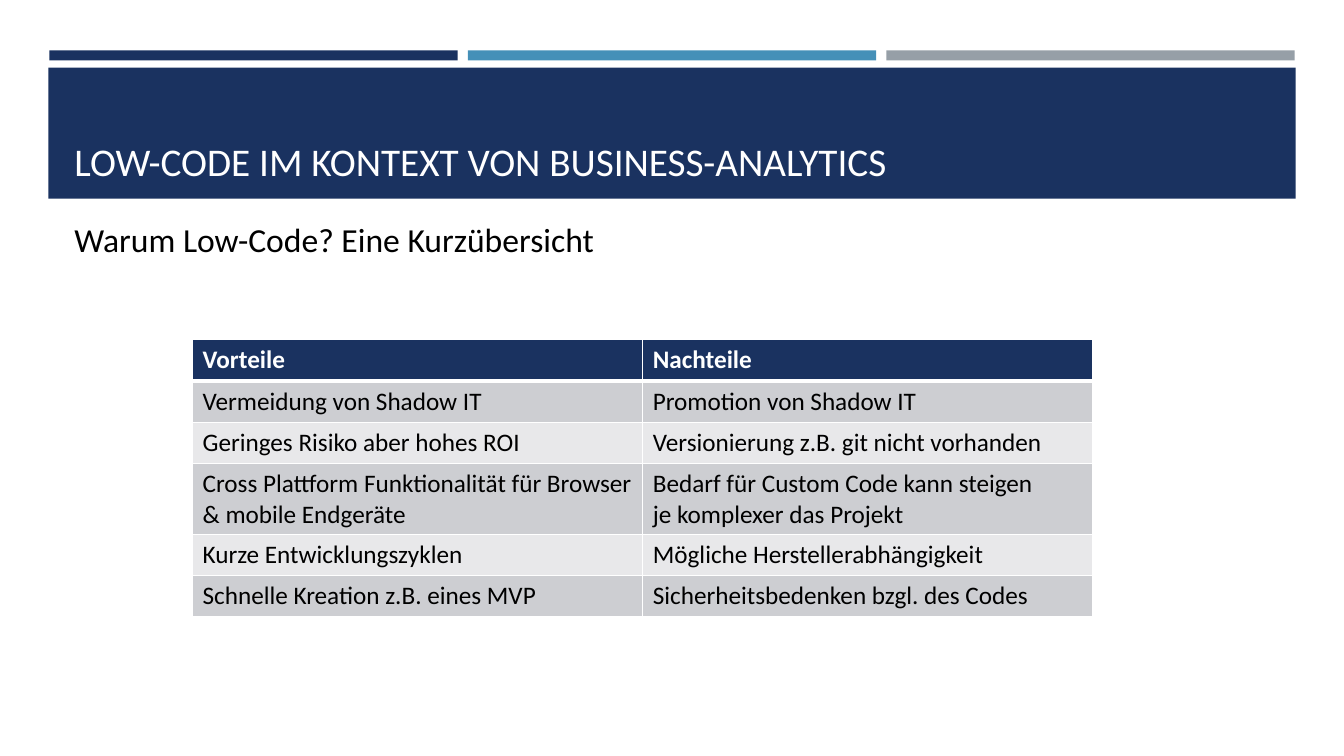
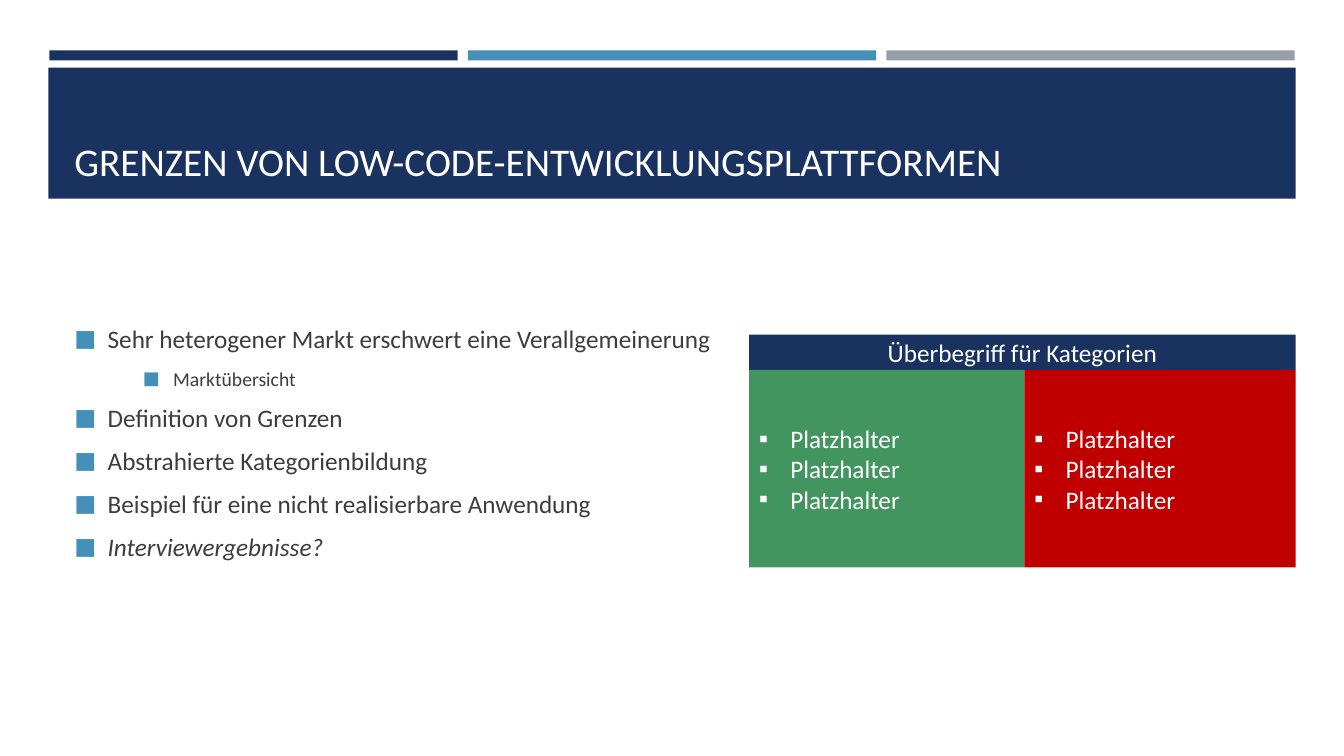
from lxml.etree import SubElement
from pptx import Presentation
from pptx.dml.color import RGBColor
from pptx.enum.shapes import MSO_SHAPE
from pptx.enum.text import MSO_ANCHOR, PP_ALIGN
from pptx.oxml.ns import qn
from pptx.util import Inches, Pt

FONT = "Calibri"
NAVY = RGBColor(0x1A, 0x32, 0x60)
BLUE = RGBColor(0x45, 0x90, 0xB8)
GRAY = RGBColor(0x96, 0x9F, 0xA7)
GREEN = RGBColor(0x42, 0x95, 0x5F)
RED = RGBColor(0xC0, 0x00, 0x00)
DARK = RGBColor(0x3D, 0x3D, 0x3D)
BLACK = RGBColor(0x00, 0x00, 0x00)
WHITE = RGBColor(0xFF, 0xFF, 0xFF)
BANDS = (RGBColor(0xE8, 0xE8, 0xEA), RGBColor(0xCD, 0xCE, 0xD2))

ROWS = [
    ("Vorteile", "Nachteile"),
    ("Vermeidung von Shadow IT", "Promotion von Shadow IT"),
    ("Geringes Risiko aber hohes ROI",
     "Versionierung z.B. git nicht vorhanden"),
    ("Cross Plattform Funktionalität für Browser & mobile Endgeräte",
     "Bedarf für Custom Code kann steigen\nje komplexer das Projekt"),
    ("Kurze Entwicklungszyklen", "Mögliche Herstellerabhängigkeit"),
    ("Schnelle Kreation z.B. eines MVP",
     "Sicherheitsbedenken bzgl. des Codes"),
]
HEIGHTS = (0.41, 0.41, 0.41, 0.69, 0.41, 0.41)

# text, level, italic
POINTS = [
    ("Sehr heterogener Markt erschwert eine Verallgemeinerung", 0, False),
    ("Marktübersicht", 1, False),
    ("Definition von Grenzen", 0, False),
    ("Abstrahierte Kategorienbildung", 0, False),
    ("Beispiel für eine nicht realisierbare Anwendung", 0, False),
    ("Interviewergebnisse?", 0, True),
]
# size, left indent, hanging indent
LEVELS = ((18, 0.33, 0.33), (14, 0.98, 0.3))


def add_run(para, text, size, color, bold=False, italic=False):
    for i, line in enumerate(text.split("\n")):
        if i:
            para.add_line_break()
        run = para.add_run()
        run.text = line
        font = run.font
        font.name, font.size = FONT, Pt(size)
        font.bold, font.italic = bold, italic
        font.color.rgb = color


def add_bullet(para, char, left, hang, color=None, scale=None):
    props = para._p.get_or_add_pPr()
    props.set("marL", str(Inches(left)))
    props.set("indent", str(-Inches(hang)))
    if color is not None:
        SubElement(SubElement(props, qn("a:buClr")), qn("a:srgbClr"),
                   val=str(color))
    if scale:
        SubElement(props, qn("a:buSzPct"), val=str(scale * 1000))
    SubElement(props, qn("a:buFont"), typeface=FONT)
    SubElement(props, qn("a:buChar"), char=char)


def next_para(frame, i):
    return frame.add_paragraph() if i else frame.paragraphs[0]


def add_rect(slide, x, y, w, h, fill):
    shape = slide.shapes.add_shape(
        MSO_SHAPE.RECTANGLE, Inches(x), Inches(y), Inches(w), Inches(h))
    shape.shadow.inherit = False
    shape.fill.solid()
    shape.fill.fore_color.rgb = fill
    shape.line.fill.background()
    return shape


def add_box(slide, x, y, w, h, anchor=MSO_ANCHOR.TOP):
    box = slide.shapes.add_textbox(
        Inches(x), Inches(y), Inches(w), Inches(h))
    frame = box.text_frame
    frame.word_wrap = True
    frame.vertical_anchor = anchor
    return frame


def new_slide(deck, title):
    """Add a slide with the three bars and the title band."""
    slide = deck.slides.add_slide(deck.slide_layouts[6])
    for i, color in enumerate((NAVY, BLUE, GRAY)):
        add_rect(slide, 0.49 + i * 4.15, 0.5, 4.05, 0.1, color)
    add_rect(slide, 0.48, 0.67, 12.37, 1.3, NAVY)
    frame = add_box(slide, 0.64, 0.77, 12.06, 1.11, MSO_ANCHOR.BOTTOM)
    add_run(frame.paragraphs[0], title, 28, WHITE)
    return slide


def set_edges(cell, base):
    """Draw white cell borders, the bottom one base points wide."""
    props = cell._tc.get_or_add_tcPr()
    for side, width in (("L", 1), ("R", 1), ("T", 1), ("B", base)):
        line = SubElement(props, qn("a:ln" + side), w=str(Pt(width)))
        fill = SubElement(line, qn("a:solidFill"))
        SubElement(fill, qn("a:srgbClr"), val=str(WHITE))


def add_grid(slide, x, y, width):
    table = slide.shapes.add_table(
        len(ROWS), 2, Inches(x), Inches(y), Inches(width),
        Inches(sum(HEIGHTS))).table
    for r, texts in enumerate(ROWS):
        table.rows[r].height = Inches(HEIGHTS[r])
        head = r == 0
        for c, text in enumerate(texts):
            cell = table.cell(r, c)
            # the edge under the header is shared with the first row's top
            set_edges(cell, 3 if head else 1)
            cell.fill.solid()
            cell.fill.fore_color.rgb = NAVY if head else BANDS[r % 2]
            add_run(cell.text_frame.paragraphs[0], text, 18,
                    WHITE if head else BLACK, bold=head)


def add_points(slide):
    frame = add_box(slide, 0.64, 2.38, 12.06, 4.02, MSO_ANCHOR.MIDDLE)
    for i, (text, level, italic) in enumerate(POINTS):
        size, left, hang = LEVELS[level]
        para = next_para(frame, i)
        para.level = level
        add_bullet(para, "■", left, hang, BLUE, 92)
        para.space_before = Pt(3 if i else 0)
        para.space_after = Pt(6)
        add_run(para, text, size, DARK, italic=italic)


def add_panel(slide, x, width, color):
    frame = add_rect(slide, x, 3.67, width, 1.96, color).text_frame
    frame.vertical_anchor = MSO_ANCHOR.MIDDLE
    for i in range(3):
        para = next_para(frame, i)
        para.alignment = PP_ALIGN.LEFT
        add_bullet(para, "▪", 0.31, 0.31)
        add_run(para, "Platzhalter", 18, WHITE)


def add_groups(slide):
    frame = add_rect(slide, 7.43, 3.32, 5.42, 0.35, NAVY).text_frame
    frame.vertical_anchor = MSO_ANCHOR.MIDDLE
    para = frame.paragraphs[0]
    para.alignment = PP_ALIGN.CENTER
    add_run(para, "Überbegriff für Kategorien", 18, WHITE)
    add_panel(slide, 7.43, 2.73, GREEN)
    add_panel(slide, 10.16, 2.69, RED)


def main():
    deck = Presentation()
    deck.slide_width, deck.slide_height = Inches(13.33), Inches(7.5)

    slide = new_slide(deck, "LOW-CODE IM KONTEXT VON BUSINESS-ANALYTICS")
    lead = add_box(slide, 0.64, 2.12, 6.03, 0.5)
    add_run(lead.paragraphs[0], "Warum Low-Code? Eine Kurzübersicht",
            24, BLACK)
    add_grid(slide, 1.91, 3.37, 8.93)

    slide = new_slide(deck, "GRENZEN VON LOW-CODE-ENTWICKLUNGSPLATTFORMEN")
    add_points(slide)
    add_groups(slide)

    deck.save("out.pptx")


if __name__ == "__main__":
    main()
